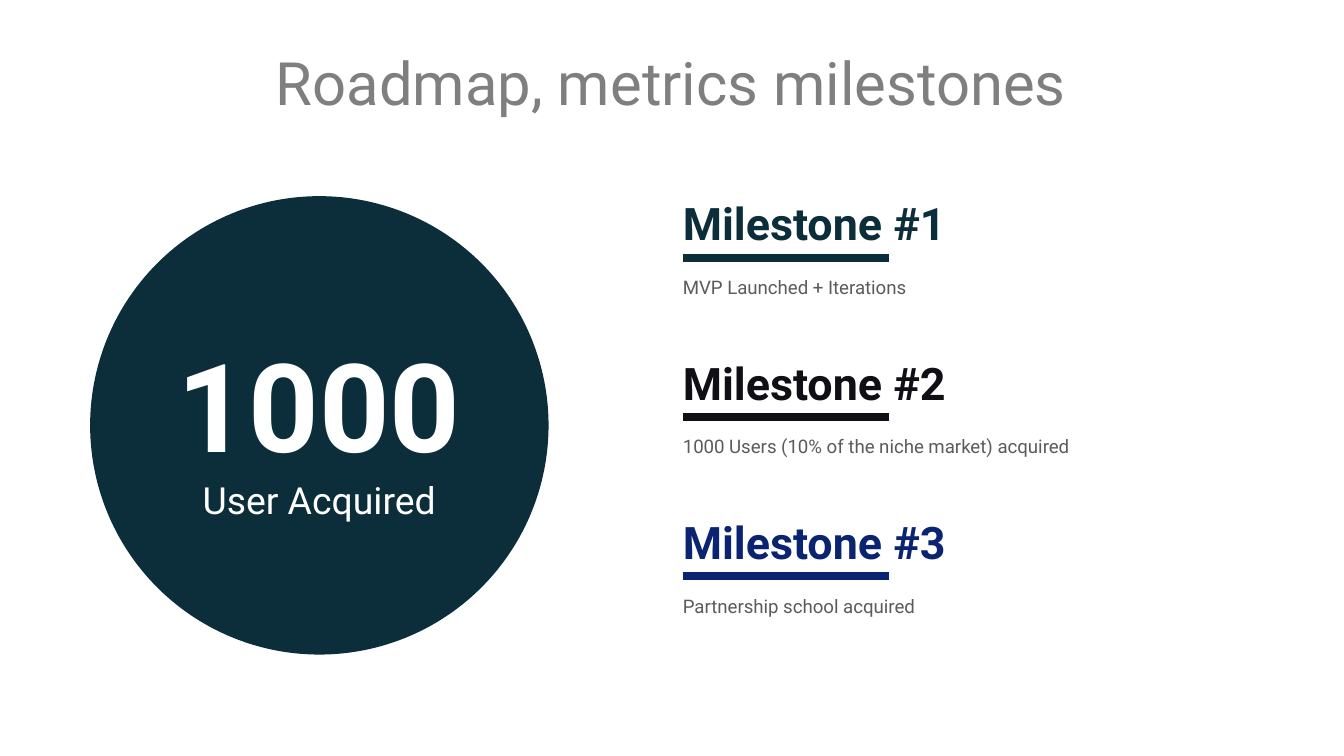
from pptx import Presentation
from pptx.dml.color import RGBColor as RGB
from pptx.enum.shapes import MSO_CONNECTOR as LINK, MSO_SHAPE as SHAPE
from pptx.enum.text import MSO_ANCHOR as ANCHOR, PP_ALIGN as ALIGN
from pptx.oxml.ns import qn
from pptx.util import Pt
from lxml.etree import SubElement

FONT = "Roboto"
WHITE = RGB(0xFF, 0xFF, 0xFF)
GRAY = RGB(0x7F, 0x7F, 0x7F)
BODY = RGB(0x5B, 0x5B, 0x5B)
TEAL = RGB(0x0C, 0x2E, 0x3A)
BLACK = RGB(0x11, 0x0F, 0x16)
NAVY = RGB(0x0A, 0x24, 0x72)

LEFT, WIDE = 365.8, 323.3
TOP, STEP = 105.1, 85.3
STONES = [
    ("Milestone #1", "MVP Launched + Iterations", TEAL),
    ("Milestone #2", "1000 Users (10% of the niche market) acquired", BLACK),
    ("Milestone #3", "Partnership school acquired", NAVY),
]


def style(run, size, color, bold=False):
    font = run.font
    font.name, font.size, font.bold = FONT, Pt(size), bold
    font.color.rgb = color


def add_text(slide, box, text, size, color, bold=False,
             anchor=ANCHOR.MIDDLE, align=ALIGN.LEFT, space=1.0):
    frame = slide.shapes.add_textbox(*map(Pt, box)).text_frame
    frame.word_wrap = True
    frame.vertical_anchor = anchor
    frame.margin_left = frame.margin_right = 0
    frame.margin_top = frame.margin_bottom = 0
    frame.text = text
    para = frame.paragraphs[0]
    para.alignment, para.line_spacing = align, space
    style(para.runs[0], size, color, bold)


def add_rule(slide, x, y, length, color):
    rule = slide.shapes.add_connector(
        LINK.STRAIGHT, Pt(x), Pt(y), Pt(x + length), Pt(y))
    rule.line.color.rgb = color
    rule.line.width = Pt(4.5)
    SubElement(rule._element.spPr, qn("a:effectLst"))


def add_disc(slide, x, y, size, count, label):
    disc = slide.shapes.add_shape(
        SHAPE.OVAL, Pt(x), Pt(y), Pt(size), Pt(size))
    disc.shadow.inherit = False
    disc.fill.solid()
    disc.fill.fore_color.rgb = TEAL
    disc.line.fill.background()
    frame = disc.text_frame
    frame.word_wrap = True
    frame.vertical_anchor = ANCHOR.MIDDLE
    frame.margin_left = frame.margin_right = Pt(5)
    frame.margin_top = frame.margin_bottom = Pt(2.7)
    para = frame.paragraphs[0]
    para.text = f"{count}\v{label}"
    para.alignment = ALIGN.CENTER
    big, small = para.runs
    style(big, 66, WHITE, True)
    style(small, 20, WHITE)


def add_stone(slide, y, head, note, color):
    add_rule(slide, LEFT, y + 33, 110.5, color)
    add_text(slide, (LEFT, y, WIDE, 28.8), head, 24, color, True)
    add_text(slide, (LEFT, y + 36.7, WIDE, 34.6), note, 10, BODY,
             anchor=ANCHOR.TOP, space=1.5)


def main():
    deck = Presentation()
    deck.slide_width, deck.slide_height = Pt(720), Pt(405)
    slide = deck.slides.add_slide(deck.slide_layouts[6])

    # Headline figure
    add_disc(slide, 48.3, 105.1, 245.6, "1000", "User Acquired")

    # Title
    add_text(slide, (30.2, 26.6, 658.9, 38.9), "Roadmap, metrics milestones",
             32, GRAY, align=ALIGN.CENTER, space=0.9)

    # Milestones
    for i, (head, note, color) in enumerate(STONES):
        add_stone(slide, TOP + i * STEP, head, note, color)

    deck.save("out.pptx")


if __name__ == "__main__":
    main()
